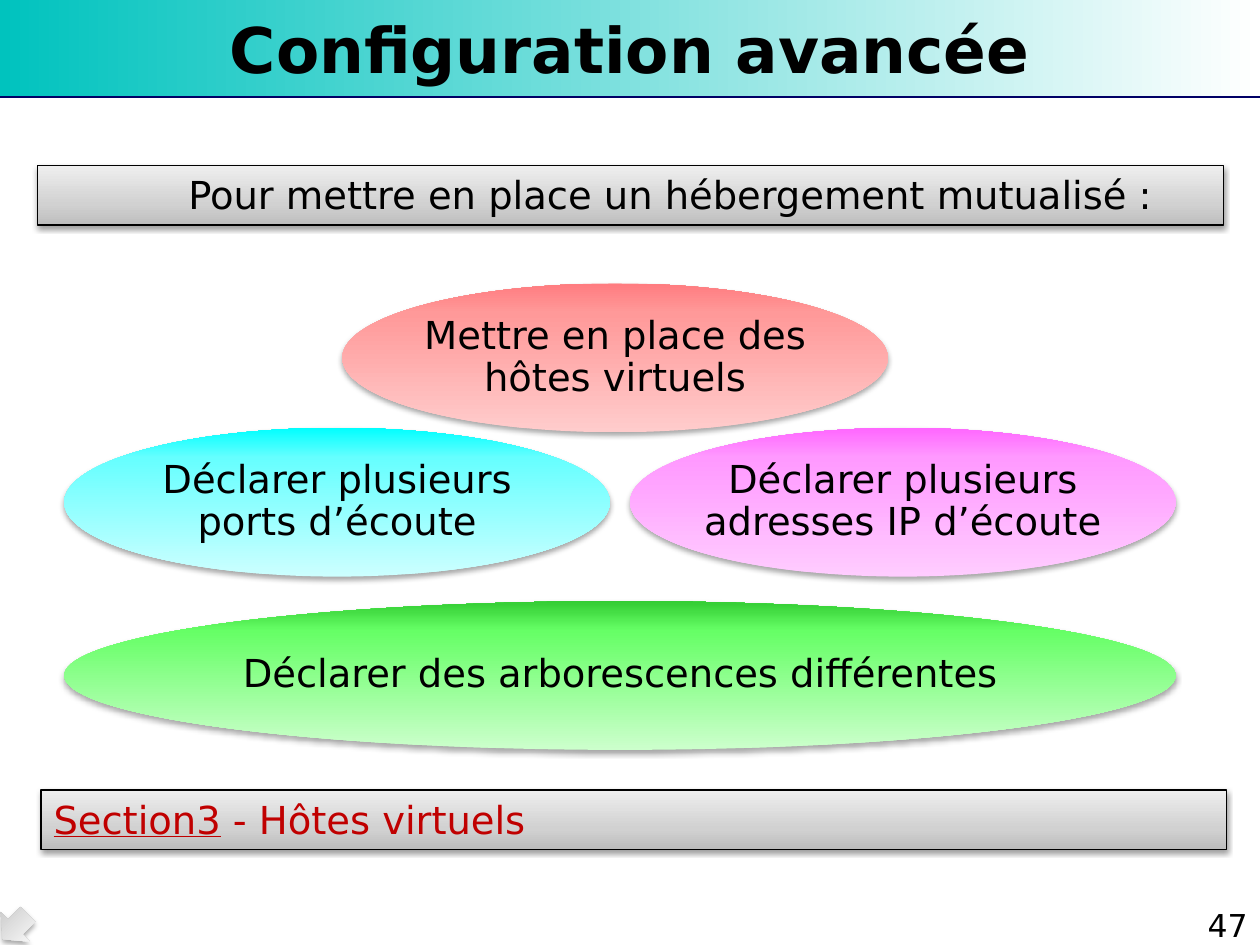
from dataclasses import dataclass

from lxml import etree
from pptx import Presentation
from pptx.dml.color import RGBColor
from pptx.enum.shapes import MSO_CONNECTOR as Connector
from pptx.enum.shapes import MSO_SHAPE as Preset
from pptx.enum.text import MSO_ANCHOR as Anchor
from pptx.enum.text import PP_ALIGN as Align
from pptx.oxml.ns import qn
from pptx.util import Pt

FONT = "DejaVu Sans"
WIDTH, HEIGHT = 720, 540
UPWARD, RIGHTWARD = 270, 0
GREY_STOPS = [(0, "BDBDBD"), (35, "D1D1D1"), (100, "EEEEEE")]
OVAL_HEIGHT = 85
LEFT, RIGHT = 36.7, 671.8
NARROW = 311.8


@dataclass
class Oval:
    text: str
    left: float
    top: float
    width: float
    colours: tuple[str, str, str]


@dataclass
class Shadow:
    opacity: int
    distance: float
    blur: float = 3.1


OVALS = [
    Oval("Mettre en place des\vhôtes virtuels", 195.6, 162, NARROW,
         ("FFCCCC", "FF9999", "FF7C80")),
    Oval("Déclarer plusieurs\vports d’écoute", LEFT, 244.5, NARROW,
         ("CCFFFF", "66FFFF", "00FFFF")),
    Oval("Déclarer plusieurs\vadresses IP d’écoute", RIGHT - NARROW, 244.5, NARROW,
         ("CCFFFF".replace("CCFFFF", "FFCCFF"), "FF99FF", "FF66FF")),
    Oval("Déclarer des arborescences différentes", LEFT, 343.5, RIGHT - LEFT,
         ("CCFFCC", "66FF66", "33CC33")),
]
OVALS[2].colours = ("FFCCFF", "FF99FF", "FF66FF")


def colour(value: str) -> RGBColor:
    return RGBColor.from_string(value)


def add_child(parent, tag: str, **attributes):
    names = {name: str(value) for name, value in attributes.items()}
    return etree.SubElement(parent, qn(tag), names)


def fill_gradient(shape, stops: list[tuple[int, str]], angle: int) -> None:
    """Fill with any number of (percent, colour) stops; the angle runs clockwise."""
    shape.fill.gradient()
    gradient = shape._element.spPr.find(qn("a:gradFill"))
    for child in list(gradient):
        gradient.remove(child)
    stop_list = add_child(gradient, "a:gsLst")
    for percent, value in stops:
        stop = add_child(stop_list, "a:gs", pos=percent * 1000)
        add_child(stop, "a:srgbClr", val=value)
    add_child(gradient, "a:lin", ang=angle * 60000, scaled=0)


def add_shadow(shape, shadow: Shadow) -> None:
    effects = shape._element.spPr.find(qn("a:effectLst"))
    outer = add_child(effects, "a:outerShdw", blurRad=Pt(shadow.blur),
                      dist=Pt(shadow.distance), dir=90 * 60000, rotWithShape=0)
    black = add_child(outer, "a:srgbClr", val="000000")
    add_child(black, "a:alpha", val=shadow.opacity * 1000)


def add_filled(slide, preset, left: float, top: float, width: float, height: float,
               stops: list[tuple[int, str]], angle: int = UPWARD,
               line: str | None = None, shadow: Shadow | None = None):
    shape = slide.shapes.add_shape(preset, Pt(left), Pt(top), Pt(width), Pt(height))
    shape.shadow.inherit = False
    fill_gradient(shape, stops, angle)
    if line:
        shape.line.color.rgb = colour(line)
        shape.line.width = Pt(0.75)
    else:
        shape.line.fill.background()
    if shadow:
        add_shadow(shape, shadow)
    return shape


def add_span(para, text: str, *, size: float = 22, value: str = "000000",
             bold: bool = False, underline: bool = False) -> None:
    span = para.add_run()
    span.text = text
    font = span.font
    font.name, font.size, font.bold, font.underline = FONT, Pt(size), bold, underline
    font.color.rgb = colour(value)


def write(box, text: str, *, align=Align.LEFT, anchor=Anchor.TOP, wrap: bool = True,
          spacing=None, indent: float = 0, **style):
    """Write one paragraph, in which \\v stands for a line break."""
    frame = box.text_frame
    frame.word_wrap = wrap
    frame.vertical_anchor = anchor
    para = frame.paragraphs[0]
    para.alignment = align
    if spacing:
        para.line_spacing = spacing
    if indent:
        para._p.get_or_add_pPr().set("marL", str(Pt(indent)))
    for number, line in enumerate(text.split("\v")):
        if number:
            para.add_line_break()
        add_span(para, line, **style)
    return para


def add_text(slide, left: float, top: float, width: float, height: float,
             text: str, **style) -> None:
    box = slide.shapes.add_textbox(Pt(left), Pt(top), Pt(width), Pt(height))
    write(box, text, **style)


def add_header(slide) -> None:
    add_filled(slide, Preset.RECTANGLE, 0, 0, WIDTH, 55.4,
               [(0, "00C3BE"), (100, "FFFFFF")], RIGHTWARD)
    rule = slide.shapes.add_connector(Connector.STRAIGHT, 0, Pt(55.4), Pt(WIDTH), Pt(55.4))
    rule.line.color.rgb = colour("000066")
    rule.line.width = Pt(0.75)
    add_child(rule._element.spPr, "a:effectLst")
    add_text(slide, 0, 0, WIDTH, 54.7, "Configuration avancée", align=Align.CENTER,
             anchor=Anchor.MIDDLE, size=36, bold=True)


def add_oval(slide, oval: Oval) -> None:
    shape = add_filled(slide, Preset.OVAL, oval.left, oval.top, oval.width, OVAL_HEIGHT,
                       list(zip((0, 80, 100), oval.colours)), shadow=Shadow(35, 1.8))
    write(shape, oval.text, align=Align.CENTER, anchor=Anchor.MIDDLE, wrap=False,
          spacing=0.9)


def add_bar(slide, left: float, top: float):
    return add_filled(slide, Preset.RECTANGLE, left, top, 677.5, 33.8, GREY_STOPS,
                      line="000000", shadow=Shadow(38, 1.6))


def main() -> None:
    deck = Presentation()
    deck.slide_width, deck.slide_height = Pt(WIDTH), Pt(HEIGHT)
    page = deck.slides.add_slide(deck.slide_layouts[6])

    add_header(page)
    add_text(page, 671.8, 514, 48.2, 29, "47", align=Align.RIGHT, size=18)
    arrow = add_filled(page, Preset.RIGHT_ARROW, -1.4, 517.7, 20.2, 23.8,
                       [(0, "BEBEBE"), (80, "F7F7F7"), (100, "F8F8F8")],
                       shadow=Shadow(35, 1.8))
    arrow.rotation = 135.5

    for oval in OVALS:
        add_oval(page, oval)

    section = write(add_bar(page, 23.5, 451.5), "Section3", align=Align.JUSTIFY,
                    value="C00000", underline=True)
    add_span(section, " - Hôtes virtuels", value="C00000")
    write(add_bar(page, 21.5, 94.8), "Pour mettre en place un hébergement mutualisé :",
          spacing=Pt(26), indent=79)

    deck.save("out.pptx")


if __name__ == "__main__":
    main()
